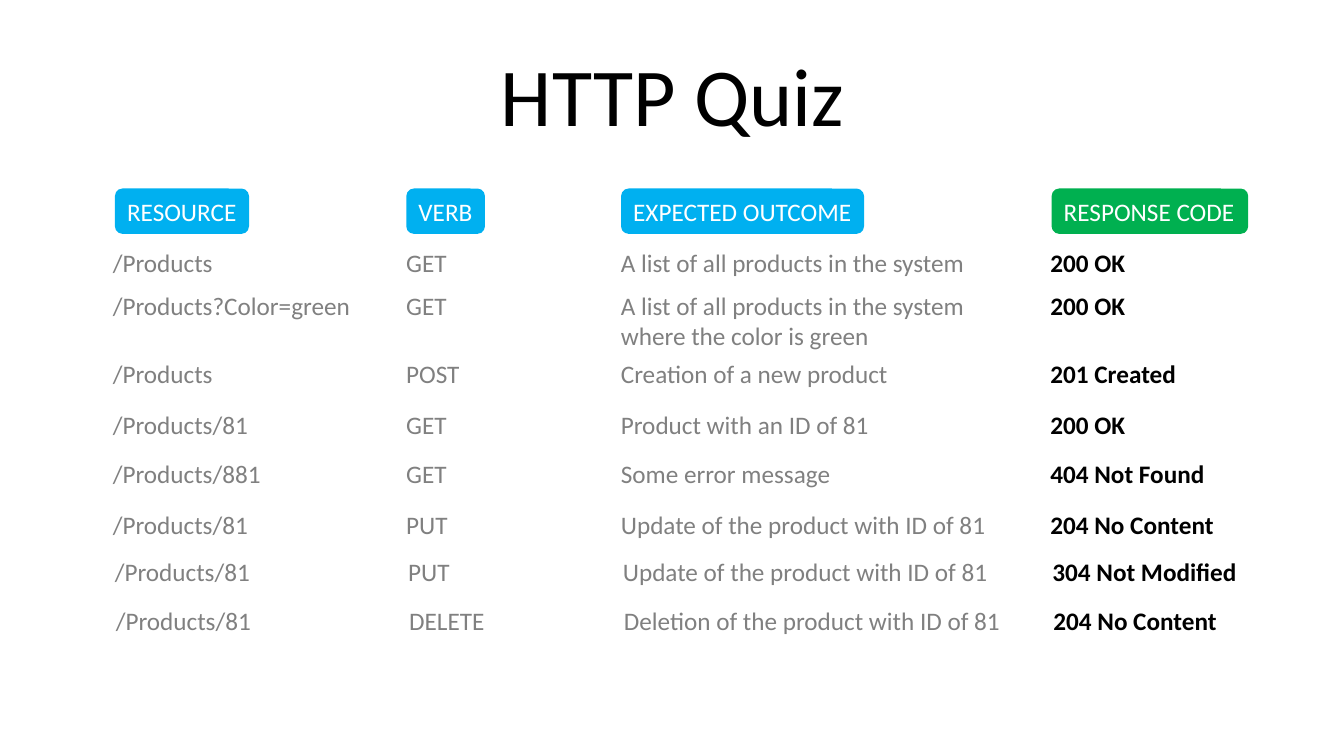
from pptx import Presentation
from pptx.dml.color import RGBColor
from pptx.enum import shapes, text
from pptx.util import Inches, Pt

BLACK = RGBColor(0x00, 0x00, 0x00)
WHITE = RGBColor(0xFF, 0xFF, 0xFF)
GRAY = RGBColor(0x80, 0x80, 0x80)
BLUE = RGBColor(0x00, 0xB0, 0xF0)
GREEN = RGBColor(0x00, 0xB0, 0x50)

# Heading, left, width and fill of each column label
HEADINGS = [
    ("RESOURCE", 1.14, 1.33, BLUE),
    ("VERB", 4.03, 0.78, BLUE),
    ("EXPECTED OUTCOME", 6.16, 2.41, BLUE),
    ("RESPONSE CODE", 10.43, 1.95, GREEN),
]

# Left, width, text colour and bold of each answer column
COLUMNS = [
    (1.02, 2.62, GRAY, False),
    (3.93, 2.35, GRAY, False),
    (6.06, 4.17, GRAY, False),
    (10.32, 2.35, BLACK, True),
]
OUTCOME_COLUMN = 2

# Top, shift to the right, and the four texts of each row
ROWS = [
    (2.4, 0, "/Products", "GET",
     "A list of all products in the system", "200 OK"),
    (2.83, 0, "/Products?Color=green", "GET",
     "A list of all products in the system where the color is green", "200 OK"),
    (3.51, 0, "/Products", "POST", "Creation of a new product", "201 Created"),
    (4.01, 0, "/Products/81", "GET", "Product with an ID of 81", "200 OK"),
    (4.5, 0, "/Products/881", "GET", "Some error message", "404 Not Found"),
    (5, 0, "/Products/81", "PUT",
     "Update of the product with ID of 81", "204 No Content"),
    (5.47, 0.02, "/Products/81", "PUT",
     "Update of the product with ID of 81", "304 Not Modified"),
    (5.96, 0.03, "/Products/81", "DELETE",
     "Deletion of the product with ID of 81", "204 No Content"),
]
LONG_ROW = 1


class QuizSlide:
    font_name = "Calibri"
    body_size = 18
    title_size = 58.7

    def __init__(self, presentation):
        self.slide = presentation.slides.add_slide(presentation.slide_layouts[5])

    def set_text(self, shape, words, size, color, align, bold=False):
        """Fill the shape with one formatted paragraph."""
        shape.text_frame.text = words
        paragraph = shape.text_frame.paragraphs[0]
        paragraph.alignment = align
        font = paragraph.font
        font.name, font.size, font.bold = self.font_name, Pt(size), bold
        font.color.rgb = color

    def title(self, words):
        shape = self.slide.shapes.title
        shape.left, shape.top = Inches(0.67), Inches(0.3)
        shape.width, shape.height = Inches(12), Inches(1.25)
        shape.text_frame.vertical_anchor = text.MSO_ANCHOR.MIDDLE
        self.set_text(shape, words, self.title_size, BLACK, text.PP_ALIGN.CENTER)

    def label(self, words, left, width, fill):
        shape = self.slide.shapes.add_shape(
            shapes.MSO_SHAPE.ROUNDED_RECTANGLE,
            Inches(left), Inches(1.87), Inches(width), Inches(0.45))
        shape.shadow.inherit = False
        shape.fill.solid()
        shape.fill.fore_color.rgb = fill
        shape.line.fill.background()
        shape.text_frame.word_wrap = False
        shape.text_frame.auto_size = text.MSO_AUTO_SIZE.SHAPE_TO_FIT_TEXT
        self.set_text(shape, words, self.body_size, WHITE, text.PP_ALIGN.LEFT)

    def cell(self, words, left, top, width, height, color, bold):
        box = self.slide.shapes.add_textbox(
            Inches(left), Inches(top), Inches(width), Inches(height))
        box.text_frame.word_wrap = True
        box.text_frame.auto_size = text.MSO_AUTO_SIZE.SHAPE_TO_FIT_TEXT
        self.set_text(box, words, self.body_size, color, text.PP_ALIGN.LEFT, bold)


def main():
    presentation = Presentation()
    presentation.slide_width = Inches(13.33)
    presentation.slide_height = Inches(7.5)

    quiz = QuizSlide(presentation)
    quiz.title("HTTP Quiz")
    for heading in HEADINGS:
        quiz.label(*heading)
    for row, (top, shift, *words) in enumerate(ROWS):
        for column, (left, width, color, bold) in enumerate(COLUMNS):
            is_long = row == LONG_ROW and column == OUTCOME_COLUMN
            quiz.cell(words[column], left + shift, top,
                      3.87 if is_long else width,
                      0.71 if is_long else 0.4, color, bold)

    presentation.save("out.pptx")


if __name__ == "__main__":
    main()
